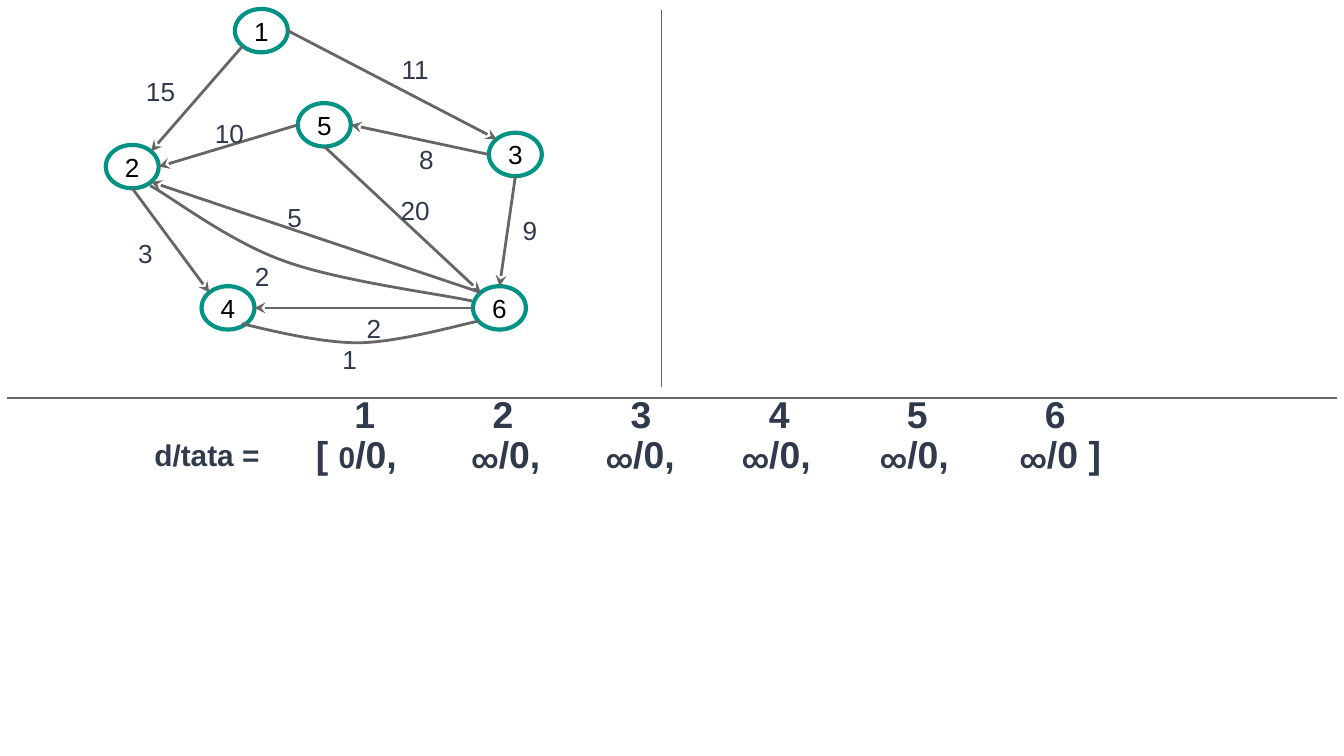
from math import cos, radians, sin
from lxml.etree import SubElement
from pptx import Presentation
from pptx.dml.color import RGBColor
from pptx.enum.shapes import MSO_CONNECTOR, MSO_SHAPE
from pptx.enum.text import MSO_ANCHOR, MSO_AUTO_SIZE, PP_ALIGN
from pptx.oxml.ns import qn
from pptx.util import Cm, Pt

INK = "31394D"
GRAY = "666666"
TEAL = "009384"
RADIUS_X, RADIUS_Y = 0.5, 0.41

NODES = {
    "1": (4.94, 0.58),
    "2": (2.5, 3.15),
    "5": (6.13, 2.36),
    "6": (9.44, 5.82),
    "4": (4.31, 5.82),
    "3": (9.74, 2.92),
}
RIGHT, BOTTOM_RIGHT, BOTTOM, BOTTOM_LEFT = 0, 45, 90, 135
LEFT, TOP_LEFT, TOP, TOP_RIGHT = 180, 225, 270, 315
EDGES = [
    ("1", BOTTOM_LEFT, "2", TOP_RIGHT),
    ("1", RIGHT, "3", TOP_LEFT),
    ("5", LEFT, "2", RIGHT),
    ("3", LEFT, "5", RIGHT),
    ("2", BOTTOM, "4", TOP_LEFT),
    ("6", TOP_LEFT, "2", BOTTOM_RIGHT),
    ("6", LEFT, "4", RIGHT),
    ("5", BOTTOM, "6", TOP_LEFT),
    ("3", BOTTOM, "6", TOP),
]
WEIGHTS = [
    ("15", 2.51, 1.17),
    ("11", 7.34, 0.76),
    ("10", 3.81, 1.96),
    ("8", 7.67, 2.46),
    ("9", 9.63, 3.81),
    ("2", 6.68, 5.66),
    ("5", 5.18, 3.56),
    ("3", 2.36, 4.24),
    ("20", 7.32, 3.43),
    ("2", 4.57, 4.67),
    ("1", 6.22, 6.25),
]
CURVES = [
    [(4.57, 6.12), (4.93, 6.2), (5.99, 6.48), (6.76, 6.48),
     (7.49, 6.48), (8.66, 6.15), (9.04, 6.07)],
    [(2.84, 3.51), (3.25, 3.73), (4.34, 4.57), (5.36, 4.93),
     (6.38, 5.31), (8.33, 5.56), (8.92, 5.69)],
]
INFINITE_LEFTS = [8.66, 11.2, 13.77, 16.38, 19.02]


def color(value):
    return RGBColor.from_string(value)


def add_span(para, text, size, ink=INK, bold=False, name="Arial"):
    span = para.add_run()
    span.text = text
    span.font.size = Pt(size)
    span.font.name = name
    span.font.bold = bold
    span.font.color.rgb = color(ink)


def add_label(page, left, top, width, height, spans, bold=False):
    box = page.shapes.add_textbox(Cm(left), Cm(top), Cm(width), Cm(height))
    frame = box.text_frame
    frame.word_wrap = True
    frame.auto_size = MSO_AUTO_SIZE.SHAPE_TO_FIT_TEXT
    frame.margin_left = frame.margin_right = Cm(0.25)
    frame.margin_top = frame.margin_bottom = Cm(0.25)
    for text, size, name in spans:
        add_span(frame.paragraphs[0], text, size, bold=bold, name=name)


def style_line(line, ink, width):
    line.color.rgb = color(ink)
    line.width = Pt(width)


def add_line(page, start, end, width, arrow=False):
    line = page.shapes.add_connector(
        MSO_CONNECTOR.STRAIGHT, *map(Cm, (*start, *end)))
    style_line(line.line, GRAY, width)
    properties = line._element.spPr
    if arrow:
        SubElement(properties.find(qn("a:ln")), qn("a:tailEnd"), type="stealth")
    SubElement(properties, qn("a:effectLst"))


def add_node(page, name, center_x, center_y):
    node = page.shapes.add_shape(
        MSO_SHAPE.OVAL, Cm(center_x - RADIUS_X), Cm(center_y - RADIUS_Y),
        Cm(2 * RADIUS_X), Cm(2 * RADIUS_Y))
    node.shadow.inherit = False
    node.fill.background()
    style_line(node.line, TEAL, 2.25)
    frame = node.text_frame
    frame.margin_left = frame.margin_right = Cm(0.05)
    frame.margin_top = frame.margin_bottom = Cm(0.05)
    frame.vertical_anchor = MSO_ANCHOR.MIDDLE
    para = frame.paragraphs[0]
    para.alignment = PP_ALIGN.CENTER
    add_span(para, name, 14, ink="000000")


def node_point(name, angle):
    center_x, center_y = NODES[name]
    turn = radians(angle)
    return center_x + RADIUS_X * cos(turn), center_y + RADIUS_Y * sin(turn)


def add_curve(page, points):
    start, *rest = [(Cm(x), Cm(y)) for x, y in points]
    builder = page.shapes.build_freeform(*start)
    builder.add_line_segments(rest, close=False)
    curve = builder.convert_to_shape()
    outline = next(curve._element.iter(qn("a:path")))
    segments = outline.findall(qn("a:lnTo"))
    for index, segment in enumerate(segments):
        if index % 3 == 0:
            bezier = SubElement(outline, qn("a:cubicBezTo"))
        bezier.append(segment[0])
        outline.remove(segment)
    curve.shadow.inherit = False
    curve.fill.background()
    style_line(curve.line, GRAY, 1.5)


def add_graph(page):
    for name, center in NODES.items():
        add_node(page, name, *center)
    for source, source_angle, target, target_angle in EDGES:
        add_line(page, node_point(source, source_angle),
                 node_point(target, target_angle), 1.5, arrow=True)
    for points in CURVES:
        add_curve(page, points)
    for weight, left, top in WEIGHTS:
        add_label(page, left, top, 1.19, 1.12, [(weight, 14, "Arial")])


def add_distances(page):
    for index in range(6):
        add_label(page, 6.45 + 2.61 * index, 7.14, 1.37, 1.37,
                  [(str(index + 1), 20, "Arial")], bold=True)
    add_label(page, 2.67, 8, 3.05, 1.19, [("d/tata =", 16, "Arial")], bold=True)
    first = [("[ ", 20, "Arial"), ("0", 16, "Arial"), ("/0,", 20, "Arial")]
    add_label(page, 5.72, 7.9, 2.11, 1.37, first, bold=True)
    for left in INFINITE_LEFTS:
        ending = "/0 ]" if left == INFINITE_LEFTS[-1] else "/0,"
        add_label(page, left, 7.9, 2.11, 1.37,
                  [("∞", 14, "Roboto"), (ending, 20, "Arial")], bold=True)


def main():
    deck = Presentation()
    deck.slide_width, deck.slide_height = Cm(25.4), Cm(14.29)
    page = deck.slides.add_slide(deck.slide_layouts[6])
    add_line(page, (0.13, 7.52), (25.27, 7.52), 0.75)
    add_line(page, (12.5, 0.18), (12.5, 7.32), 0.75)
    add_distances(page)
    add_graph(page)
    deck.save("out.pptx")


if __name__ == "__main__":
    main()
